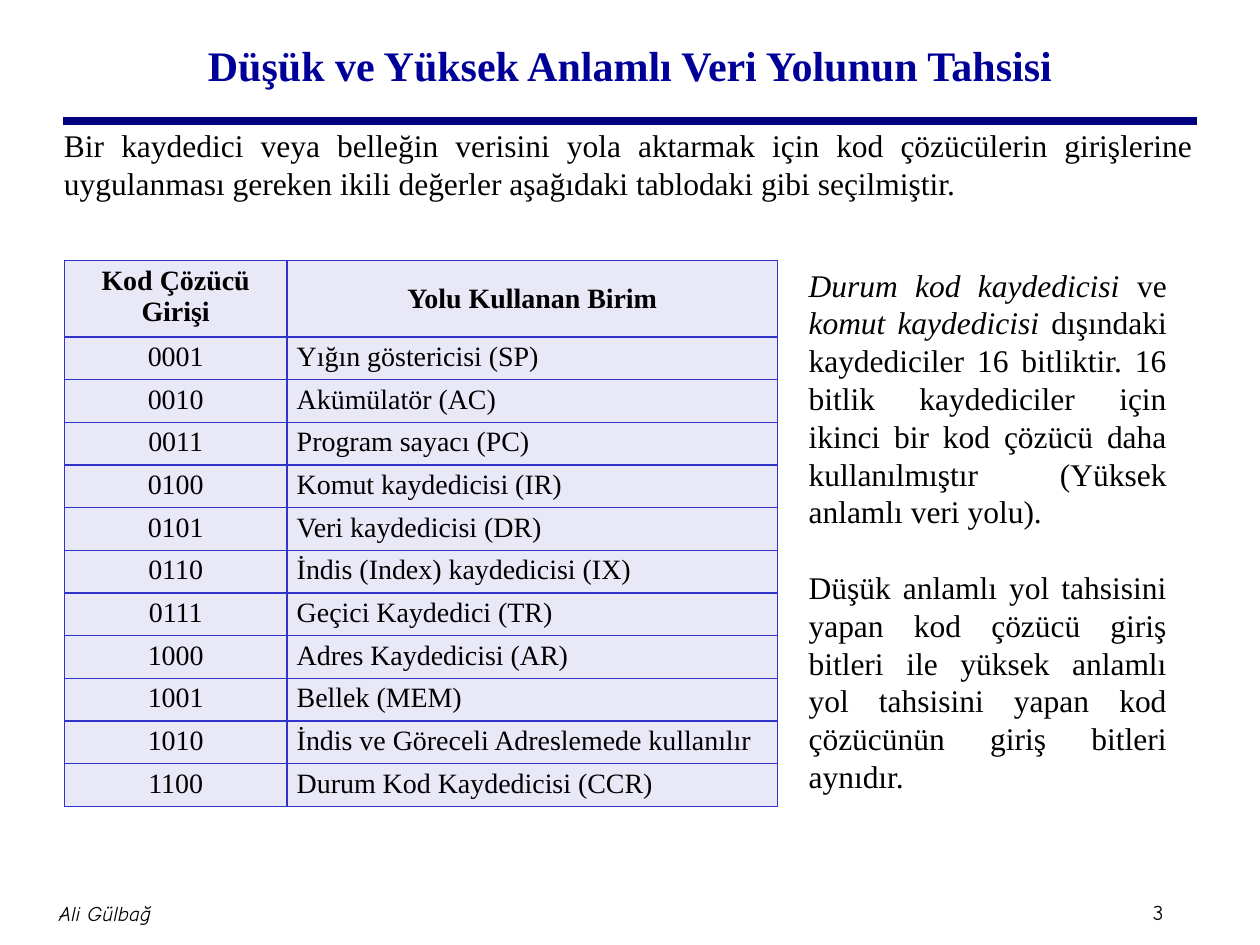
from pptx import Presentation
from pptx.dml.color import RGBColor
from pptx.enum.shapes import MSO_CONNECTOR
from pptx.enum.text import MSO_ANCHOR, PP_ALIGN
from pptx.oxml import parse_xml
from pptx.oxml.ns import nsdecls
from pptx.util import Pt

LEFT, MID, JUST = PP_ALIGN.LEFT, PP_ALIGN.CENTER, PP_ALIGN.JUSTIFY
TOP, CENTER = MSO_ANCHOR.TOP, MSO_ANCHOR.MIDDLE
LINE = MSO_CONNECTOR.STRAIGHT
SERIF, COMIC = "Times New Roman", "Comic Neue"

ROWS = [
    ("Kod Çözücü Girişi", "Yolu Kullanan Birim"),
    ("0001", "Yığın göstericisi (SP)"),
    ("0010", "Akümülatör (AC)"),
    ("0011", "Program sayacı (PC)"),
    ("0100", "Komut kaydedicisi (IR)"),
    ("0101", "Veri kaydedicisi (DR)"),
    ("0110", "İndis (Index) kaydedicisi (IX)"),
    ("0111", "Geçici Kaydedici (TR)"),
    ("1000", "Adres Kaydedicisi (AR)"),
    ("1001", "Bellek (MEM)"),
    ("1010", "İndis ve Göreceli Adreslemede kullanılır"),
    ("1100", "Durum Kod Kaydedicisi (CCR)"),
]
INTRO = ("Bir kaydedici veya belleğin verisini yola aktarmak için kod çözücülerin "
         "girişlerine uygulanması gereken ikili değerler aşağıdaki tablodaki gibi "
         "seçilmiştir.")
STATE = [
    ("Durum kod kaydedicisi", True), (" ve ", False),
    ("komut kaydedicisi", True),
    (" dışındaki kaydediciler 16 bitliktir. 16 bitlik kaydediciler için ikinci "
     "bir kod çözücü daha kullanılmıştır (Yüksek anlamlı veri yolu).", False),
]
SAME = [("Düşük anlamlı yol tahsisini yapan kod çözücü giriş bitleri ile yüksek "
         "anlamlı yol tahsisini yapan kod çözücünün giriş bitleri aynıdır.", False)]


def color(code):
    return RGBColor.from_string(code)


def assign(item, **values):
    for name, value in values.items():
        setattr(item, name, value)


def write(para, runs, size, align=LEFT, tone="000000", face=SERIF, bold=False, gap=0):
    assign(para, alignment=align, space_before=Pt(gap))
    for text, slant in runs:
        run = para.add_run()
        run.text = text
        assign(run.font, size=Pt(size), name=face, bold=bold, italic=slant)
        run.font.color.rgb = color(tone)


def add_text(slide, box, paras, size, anchor=TOP, pad=(7.2, 3.6), gap=0, **look):
    frame = slide.shapes.add_textbox(*map(Pt, box)).text_frame
    side, edge = map(Pt, pad)
    assign(frame, word_wrap=True, vertical_anchor=anchor, margin_left=side,
           margin_right=side, margin_top=edge, margin_bottom=edge)
    for index, runs in enumerate(paras):
        para = frame.add_paragraph() if index else frame.paragraphs[0]
        write(para, runs, size, gap=gap if index else 0, **look)


def add_head(slide, left, top, width):
    add_text(slide, (left + 18, top, width - 36, 62),
             [[("Düşük ve Yüksek Anlamlı Veri Yolunun Tahsisi", False)]], 24,
             CENTER, align=MID, tone="000099", bold=True)
    rule = slide.shapes.add_connector(
        LINE, Pt(left), Pt(top + 63.4), Pt(left + width), Pt(top + 63.4))
    rule.line.width = Pt(4.5)
    rule.line.color.rgb = color("000080")
    rule._element.spPr.append(parse_xml(f'<a:effectLst {nsdecls("a")}/>'))


def add_edges(cell):
    props = cell._tc.get_or_add_tcPr()
    for index, side in enumerate(("lnL", "lnR", "lnT", "lnB")):
        props.insert(index, parse_xml(
            f'<a:{side} {nsdecls("a")} w="12700"><a:solidFill>'
            f'<a:srgbClr val="3333CC"/></a:solidFill></a:{side}>'))


def add_codes(slide, left, top, width):
    first, high, step = 127.2, 41, 23.5
    total = high + step * (len(ROWS) - 1)
    table = slide.shapes.add_table(
        len(ROWS), 2, Pt(left), Pt(top), Pt(width), Pt(total)).table
    table.columns[0].width = Pt(first)
    table.columns[1].width = Pt(width - first)
    for i, row in enumerate(ROWS):
        table.rows[i].height = Pt(step if i else high)
        for j, text in enumerate(row):
            cell = table.cell(i, j)
            assign(cell, margin_left=Pt(5.6), margin_right=Pt(5.6),
                   margin_top=Pt(2.6), margin_bottom=Pt(2.6),
                   vertical_anchor=TOP if i or not j else CENTER)
            cell.fill.solid()
            cell.fill.fore_color.rgb = color("E8E8F6")
            write(cell.text_frame.paragraphs[0], [(text, False)], 16,
                  LEFT if i and j else MID, bold=not i)
            add_edges(cell)


def add_foot(slide, left, top):
    look = dict(size=12, anchor=CENTER, pad=(3.6, 3.6), face=COMIC)
    add_text(slide, (left - 105, top, 258, 36), [[("Ali Gülbağ", True)]],
             align=MID, **look)
    add_text(slide, (left + 619.2, top + 6.4, 34, 21.6), [[("3", False)]], **look)


deck = Presentation()
assign(deck, slide_width=Pt(720), slide_height=Pt(540))
page = deck.slides.add_slide(deck.slide_layouts[6])
add_head(page, 36, 5.8, 648)
add_text(page, (29.5, 68.4, 659.5, 400), [[(INTRO, False)]], 18, align=JUST)
add_codes(page, 36.8, 149, 407.6)
add_text(page, (455, 148.3, 218.9, 312.5), [STATE, SAME], 18, align=JUST, gap=21.6)
add_foot(page, 36, 504)
deck.save("out.pptx")
